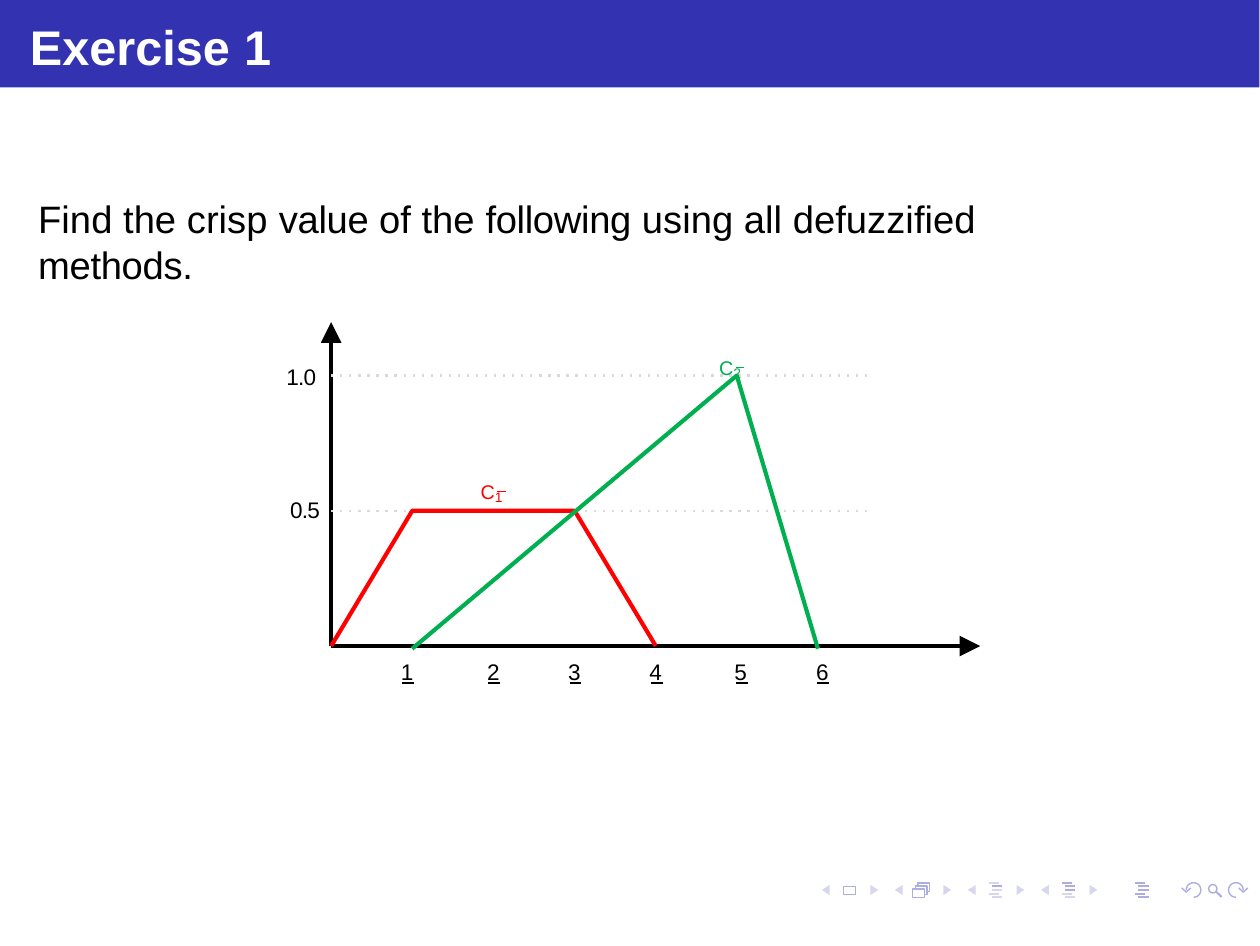
from math import cos, radians, sin
from typing import NamedTuple, Optional

from lxml.etree import SubElement
from pptx import Presentation
from pptx.dml.color import RGBColor
from pptx.enum.shapes import MSO_CONNECTOR, MSO_SHAPE
from pptx.enum.text import MSO_ANCHOR, MSO_AUTO_SIZE, PP_ALIGN
from pptx.oxml.ns import qn
from pptx.util import Pt

BLACK = RGBColor(0x00, 0x00, 0x00)
WHITE = RGBColor(0xFF, 0xFF, 0xFF)
BAND_BLUE = RGBColor(0x33, 0x33, 0xB2)
NAV_DARK = RGBColor(0xAD, 0xAD, 0xE0)
NAV_LIGHT = RGBColor(0xD6, 0xD6, 0xEF)
GRID_GREY = RGBColor(0xD9, 0xD9, 0xD9)
C1_RED = RGBColor(0xFF, 0x00, 0x00)
C2_GREEN = RGBColor(0x00, 0xAF, 0x50)

SLIDE_WIDTH, SLIDE_HEIGHT = 363, 272.5
ORIGIN_X, ORIGIN_Y = 95.4, 186.1
UNIT_X, UNIT_Y = 23.38, 77.9
NAV_PITCH, NAV_MIDDLE = 21.05, 256.4

Point = tuple[float, float]


class Run(NamedTuple):
    text: str
    size: float
    color: RGBColor = BLACK
    spacing: float = 0
    bold: bool = False
    raised: int = 0


class FuzzySet(NamedTuple):
    index: str
    color: RGBColor
    corners: list[Point]
    label_at: Point


class OutlineIcon(NamedTuple):
    left: float
    dark_rows: set[int]


FUZZY_SETS = [
    FuzzySet("1", C1_RED, [(0, 0), (1, 0.5), (3, 0.5), (4, 0)], (135.8, 133.7)),
    FuzzySet("2", C2_GREEN, [(1, -0.01), (5, 1), (6, -0.01)], (204.5, 98)),
]
TICK_LEFTS = {"1": 114.6, "2": 139.4, "3": 162.8, "4": 186.2, "5": 210.7, "6": 234.2}
MEMBERSHIP_LABELS = {"0.5": (82.7, 141.7), "1.0": (81.6, 103.4)}
OUTLINE_ICONS = [
    OutlineIcon(284.8, {1}),
    OutlineIcon(284.8 + NAV_PITCH, {0, 1, 2}),
    OutlineIcon(284.8 + 2 * NAV_PITCH, {0, 1, 2, 3, 4}),
]

deck = Presentation()
deck.slide_width, deck.slide_height = Pt(SLIDE_WIDTH), Pt(SLIDE_HEIGHT)
slide = deck.slides.add_slide(deck.slide_layouts[1])
shapes = slide.shapes


def on_chart(x: float, membership: float) -> Point:
    return ORIGIN_X + x * UNIT_X, ORIGIN_Y - membership * UNIT_Y


def draw_line(start: Point, end: Point, color: RGBColor, width: float,
              dash: Optional[str] = None, arrow: bool = False) -> None:
    connector = shapes.add_connector(MSO_CONNECTOR.STRAIGHT, *map(Pt, start + end))
    connector.line.color.rgb = color
    connector.line.width = Pt(width)
    properties = connector.element.spPr
    SubElement(properties, qn("a:effectLst"))
    outline = properties.find(qn("a:ln"))
    if dash:
        SubElement(outline, qn("a:prstDash"), val=dash)
    if arrow:
        SubElement(outline, qn("a:tailEnd"), type="triangle", w="med", len="med")


def paint(shape, fill: Optional[RGBColor], line: Optional[RGBColor], width: float) -> None:
    shape.shadow.inherit = False
    if fill is None:
        shape.fill.background()
    else:
        shape.fill.solid()
        shape.fill.fore_color.rgb = fill
    if line is None:
        shape.line.fill.background()
    else:
        shape.line.color.rgb = line
        shape.line.width = Pt(width)


def draw_path(points: list[Point], fill: Optional[RGBColor] = None,
              line: Optional[RGBColor] = None, width: float = 0.4) -> None:
    """Draw a polyline, closed only when it is filled."""
    start, *rest = [(Pt(x), Pt(y)) for x, y in points]
    builder = shapes.build_freeform(*start)
    builder.add_line_segments(rest, close=fill is not None)
    paint(builder.convert_to_shape(), fill, line, width)


def write(holder, left: float, top: float, width: float, height: float, runs: list[Run],
          space_before: float = 1.1, indent: float = 0.9) -> None:
    holder.left, holder.top, holder.width, holder.height = map(Pt, (left, top, width, height))
    frame = holder.text_frame
    frame.word_wrap = True
    frame.auto_size = MSO_AUTO_SIZE.SHAPE_TO_FIT_TEXT
    frame.vertical_anchor = MSO_ANCHOR.TOP
    frame.margin_left = frame.margin_right = frame.margin_bottom = 0
    frame.margin_top = Pt(1.2)
    paragraph = frame.paragraphs[0]
    paragraph.alignment = PP_ALIGN.LEFT
    paragraph.space_before = Pt(space_before)
    paragraph.line_spacing = 1.0
    layout = paragraph._p.get_or_add_pPr()
    layout.set("marL", str(Pt(indent)))
    layout.set("indent", "0")
    SubElement(layout, qn("a:buNone"))
    for part in runs:
        run = paragraph.add_run()
        run.text = part.text
        run.font.name = "Arial"
        run.font.size = Pt(part.size)
        run.font.bold = part.bold
        run.font.color.rgb = part.color
        character = run.font._element
        character.set("spc", str(round(part.spacing * 100)))
        if part.raised:
            character.set("baseline", str(part.raised * 1000))


def write_label(left: float, top: float, width: float, runs: list[Run], indent: float = 0.9) -> None:
    write(shapes.add_textbox(0, 0, 0, 0), left, top, width, 10.1, runs, indent=indent)


def draw_title_and_task() -> None:
    title, task = shapes.title, slide.placeholders[1]
    band = shapes.add_shape(MSO_SHAPE.RECTANGLE, 0, 0, Pt(362.85), Pt(25.2))
    paint(band, BAND_BLUE, None, 0)
    title.element.addprevious(band.element)
    write(title, 7.7, 3.6, 347.8, 19.4,
          [Run("Exercise ", 14, WHITE, bold=True), Run("1", 14, WHITE, -0.5, True)], 1.4)
    write(task, 10.1, 55.1, 317.5, 27,
          [Run("Find the crisp ", 11), Run("value ", 11, spacing=-0.1), Run("of the ", 11),
           Run("following ", 11, spacing=-0.1), Run("using all defuzzified ", 11),
           Run("methods.", 11, spacing=-0.1)], 0.9)


def draw_chart() -> None:
    origin = on_chart(0, 0)
    draw_line(origin, (282.4, ORIGIN_Y), BLACK, 1.19, arrow=True)
    draw_line(origin, (ORIGIN_X, 92.8), BLACK, 1.19, arrow=True)
    for text, left in TICK_LEFTS.items():
        write_label(left, 188.4, 5.8, [Run(text, 6.5, spacing=-0.5)])
        draw_line((left + 1.3, 196.7), (left + 4.7, 196.7), BLACK, 0.48)
    for text, (left, top) in MEMBERSHIP_LABELS.items():
        write_label(left, top, 11.5, [Run(text, 6.5, spacing=-0.2)])
        grid_y = on_chart(0, float(text))[1]
        draw_line((ORIGIN_X, grid_y), (251.6, grid_y), GRID_GREY, 0.66, dash="dot")
    for fuzzy in FUZZY_SETS:
        draw_path([on_chart(*corner) for corner in fuzzy.corners], line=fuzzy.color, width=1.19)
    for fuzzy in FUZZY_SETS:
        left, top = fuzzy.label_at
        write_label(left, top, 13, [Run("C", 9.8, fuzzy.color, -0.4, raised=9),
                                    Run(fuzzy.index, 4, fuzzy.color, -0.2)], 2.7)
        draw_line((left + 7.5, top + 8), (left + 9.9, top + 8), fuzzy.color, 0.31)


def draw_turn_arrow(center_x: float, side: int) -> None:
    """Draw a three-quarter turn whose head is left (-1) or right (1) of the centre."""
    draw_path([(center_x - side * 2.1 * cos(radians(angle)), NAV_MIDDLE + 2.1 * sin(radians(angle)))
               for angle in range(90, -181, -15)], line=NAV_DARK)
    tip = center_x + side * 2.1
    draw_path([(tip - 1.3, 255.8), (tip, 257), (tip + 1.3, 255.8)], line=NAV_DARK)


def draw_navigation() -> None:
    for step in range(4):
        for base, tip in ((239, 236.8), (250.8, 253)):
            shift = step * NAV_PITCH
            draw_path([(base + shift, NAV_MIDDLE - 1.45), (tip + shift, NAV_MIDDLE),
                       (base + shift, NAV_MIDDLE + 1.45)], fill=NAV_LIGHT)
    for left, top in ((243.1, 255.3), (262.9, 256.1)):
        page = shapes.add_shape(MSO_SHAPE.RECTANGLE, *map(Pt, (left, top, 3.4, 2.4)))
        paint(page, None, NAV_DARK, 0.4)
    for shift in (0, 0.8):
        left, top = 263.7 + shift, 255.2 - shift
        draw_path([(left, top + 0.8), (left, top), (left + 3.4, top),
                   (left + 3.4, top + 2.5), (left + 2.6, top + 2.5)], line=NAV_DARK)
    for icon in OUTLINE_ICONS:
        for row, indent in enumerate((0, 1.1, 1.1, 0, 1.1)):
            left, y = icon.left + indent, NAV_MIDDLE + (row - 2) * 1.05
            draw_line((left, y), (left + 2.9, y),
                      NAV_DARK if row in icon.dark_rows else NAV_LIGHT, 0.6)
    lens = shapes.add_shape(MSO_SHAPE.OVAL, *map(Pt, (348.2, 254.8, 2.4, 2.4)))
    paint(lens, None, NAV_DARK, 0.4)
    draw_line((350.4, 256.9), (352, 258.4), NAV_DARK, 0.6)
    draw_turn_arrow(343.9, -1)
    draw_turn_arrow(356.1, 1)


draw_title_and_task()
draw_chart()
draw_navigation()
deck.save("out.pptx")
